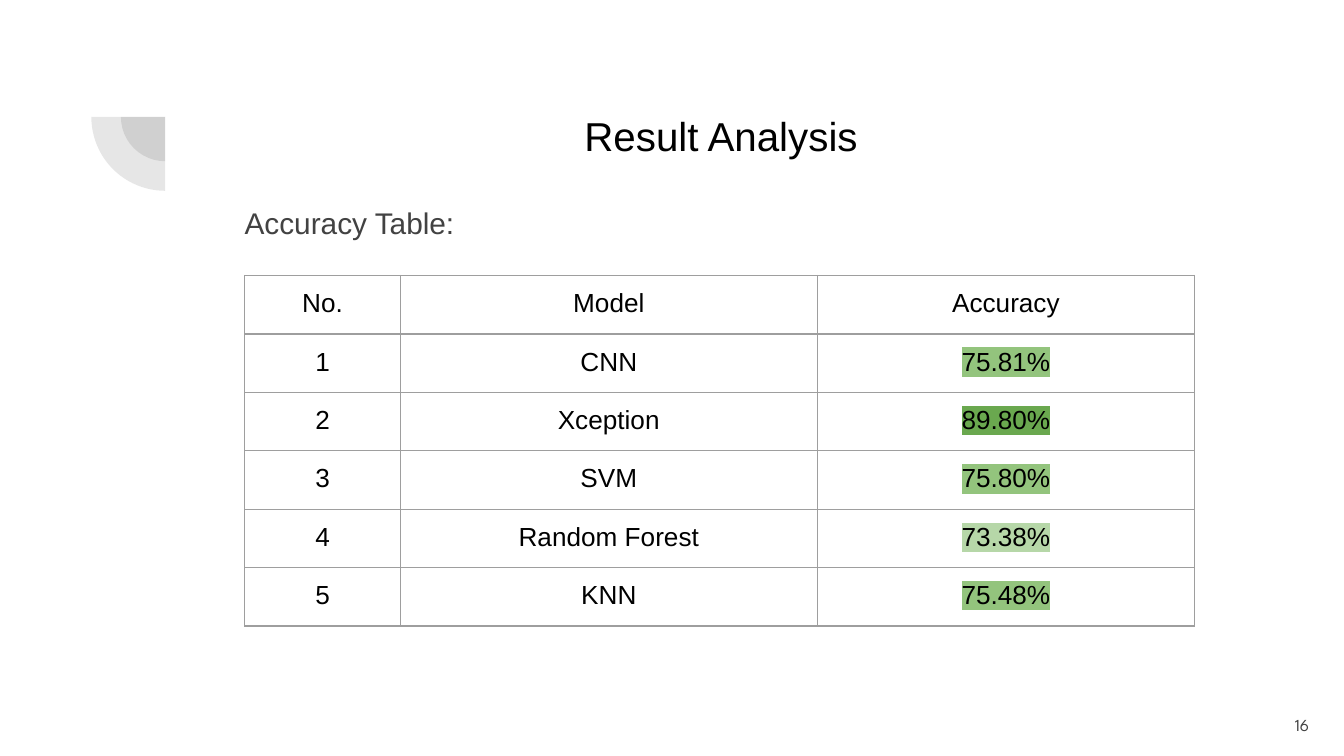
from lxml.etree import SubElement
from pptx import Presentation
from pptx.dml.color import RGBColor as RGB
from pptx.enum.shapes import MSO_SHAPE as SHAPE
from pptx.enum.text import MSO_ANCHOR as ANCHOR, MSO_AUTO_SIZE as AUTO, PP_ALIGN as ALIGN
from pptx.oxml.ns import qn
from pptx.util import Inches, Pt

COLORS = {
    "black": "000000", "gray": "424242", "border": "9E9E9E", "white": "FFFFFF",
    "light": "B6D7A8", "medium": "93C47D", "dark": "6AA84F",
}
RESULTS = [
    ("CNN", "75.81%", "medium"),
    ("Xception", "89.80%", "dark"),
    ("SVM", "75.80%", "medium"),
    ("Random Forest", "73.38%", "light"),
    ("KNN", "75.48%", "medium"),
]


def color(name):
    return RGB.from_string(COLORS[name])


class SlideBuilder:
    font = "Arial"
    inset = Inches(0.1)

    def __init__(self, slide):
        self.s = slide
        fill = slide.background.fill
        fill.solid()
        fill.fore_color.rgb = color("white")

    def run(self, p, text, size, ink, font=None, highlight=None):
        r = p.add_run()
        r.text = text
        r.font.size = Pt(size)
        r.font.name = font or self.font
        r.font.color.rgb = color(ink)
        if highlight:
            rPr = r.font._element
            mark = SubElement(rPr, qn("a:highlight"))
            SubElement(mark, qn("a:srgbClr"), val=COLORS[highlight])
            rPr.find(qn("a:solidFill")).addnext(mark)

    def frame(self, sp, box, anchor=ANCHOR.TOP):
        sp.left, sp.top, sp.width, sp.height = (Inches(v) for v in box)
        tf = sp.text_frame
        tf.word_wrap = True
        tf.auto_size = AUTO.NONE
        tf.vertical_anchor = anchor
        tf.margin_left = tf.margin_right = tf.margin_top = tf.margin_bottom = self.inset
        return tf.paragraphs[0]

    def placeholder(self, idx, box, text, size, ink, align, spacing, indent):
        p = self.frame(self.s.placeholders[idx], box)
        p.alignment = align
        p.line_spacing = spacing
        p.space_before = Pt(0)
        pPr = p._p.get_or_add_pPr()
        pPr.set("marL", str(Inches(indent)))
        pPr.set("indent", "0")
        SubElement(pPr, qn("a:buNone"))
        self.run(p, text, size, ink)

    def text(self, box, text, size, ink, align, font):
        sp = self.s.shapes.add_textbox(*(Inches(v) for v in box))
        p = self.frame(sp, box, ANCHOR.MIDDLE)
        p.alignment = align
        self.run(p, text, size, ink, font)

    def quarter(self, cx, cy, radius):
        sp = self.s.shapes.add_shape(
            SHAPE.PIE, Inches(cx - radius), Inches(cy - radius),
            Inches(2 * radius), Inches(2 * radius))
        # 90 to 180 degrees, in units of 100000 / 60000 of a degree
        sp.adjustments[0], sp.adjustments[1] = 54, 108
        sp.shadow.inherit = False
        sp.line.fill.background()
        sp.fill.solid()
        sp.fill.fore_color.rgb = color("gray")
        clr = sp._element.spPr.find(qn("a:solidFill")).find(qn("a:srgbClr"))
        SubElement(clr, qn("a:alpha"), val="13000")

    def cell(self, c, text, highlight=None):
        c.margin_left = c.margin_right = c.margin_top = c.margin_bottom = self.inset
        tcPr = c._tc.get_or_add_tcPr()
        for side in ("lnL", "lnR", "lnT", "lnB"):
            ln = SubElement(tcPr, qn("a:" + side), w=str(Pt(0.75)))
            fill = SubElement(ln, qn("a:solidFill"))
            SubElement(fill, qn("a:srgbClr"), val=COLORS["border"])
        c.fill.background()
        p = c.text_frame.paragraphs[0]
        p.alignment = ALIGN.CENTER
        self.run(p, text, 14, "black", highlight=highlight)

    def table(self, left, top, widths, height, header, results):
        table = self.s.shapes.add_table(
            len(results) + 1, len(widths), Inches(left), Inches(top),
            Inches(sum(widths)), Inches(height)).table
        table.first_row = table.horz_banding = False
        for column, width in zip(table.columns, widths):
            column.width = Inches(width)
        for j, label in enumerate(header):
            self.cell(table.cell(0, j), label)
        for i, (model, accuracy, shade) in enumerate(results, 1):
            self.cell(table.cell(i, 0), str(i))
            self.cell(table.cell(i, 1), model)
            self.cell(table.cell(i, 2), accuracy, shade)


def main():
    # Widescreen, 16 to 9
    prs = Presentation()
    prs.slide_width = Inches(10)
    prs.slide_height = prs.slide_width * 9 // 16
    b = SlideBuilder(prs.slides.add_slide(prs.slide_layouts[1]))

    # Corner ornament
    for radius in (0.33, 0.55):
        b.quarter(1.23, 0.87, radius)

    # Title and caption
    b.placeholder(0, (1.27, 0.37, 7.69, 0.67), "Result Analysis",
                  21.6, "black", ALIGN.CENTER, 2.0, 0.5)
    b.placeholder(1, (1.43, 1.38, 7.69, 3.88), "Accuracy Table:",
                  16, "gray", ALIGN.LEFT, 1.15, 0.29)

    # Accuracy table
    b.table(1.82, 2.05, (1.16, 3.1, 2.81), 2.61,
            ("No.", "Model", "Accuracy"), RESULTS)

    # Page number
    b.text((9.24, 5.18, 0.6, 0.43), "16", 9, "gray", ALIGN.RIGHT, "League Spartan")

    prs.save("out.pptx")


if __name__ == "__main__":
    main()
